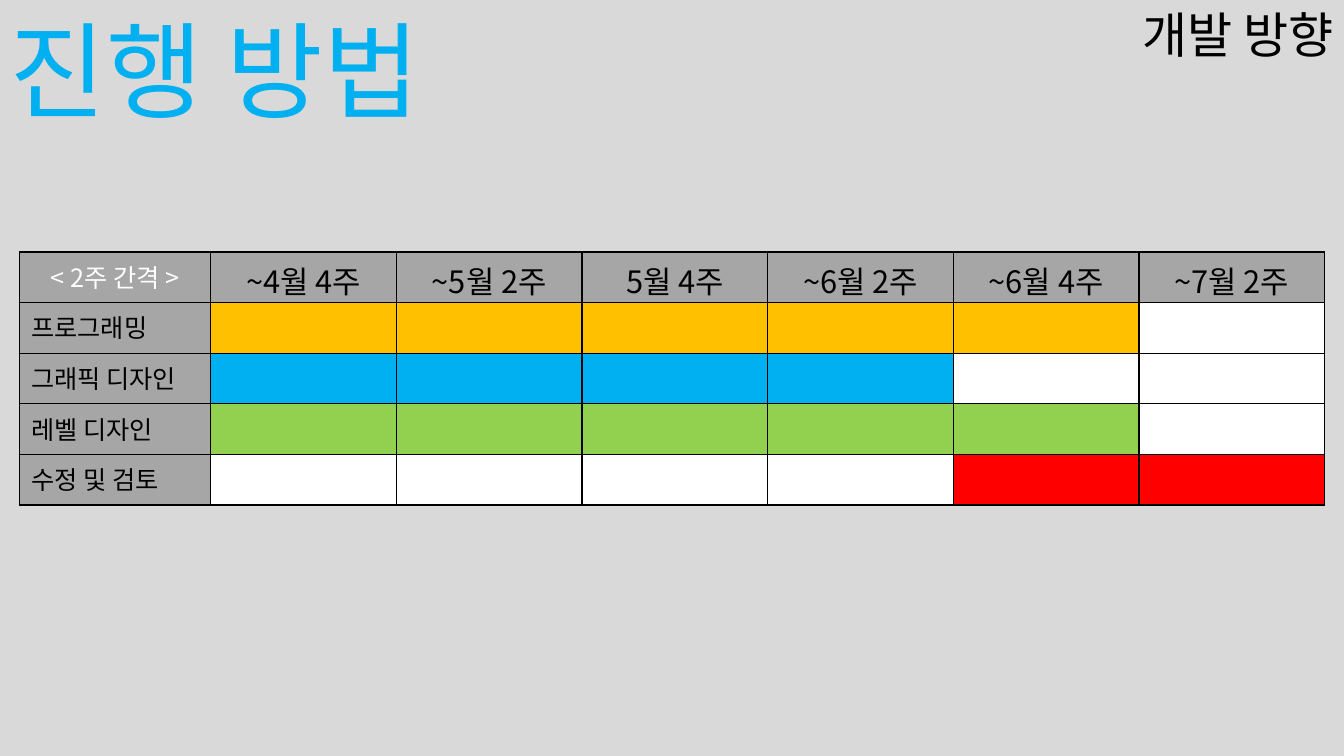
from lxml.etree import SubElement
from pptx import Presentation
from pptx.dml.color import RGBColor
from pptx.enum.shapes import MSO_SHAPE
from pptx.enum.text import MSO_ANCHOR, PP_ALIGN
from pptx.oxml import parse_xml
from pptx.oxml.ns import nsdecls, qn
from pptx.util import Inches, Pt

FONT = "Noto Sans CJK KR"
BLACK = RGBColor(0x00, 0x00, 0x00)
WHITE = RGBColor(0xFF, 0xFF, 0xFF)
PALE = RGBColor(0xD9, 0xD9, 0xD9)
GREY = RGBColor(0xA6, 0xA6, 0xA6)
AMBER = RGBColor(0xFF, 0xC0, 0x00)
BLUE = RGBColor(0x00, 0xB0, 0xF0)
GREEN = RGBColor(0x92, 0xD0, 0x50)
RED = RGBColor(0xFF, 0x00, 0x00)

TITLE = "진행 방법"
SECTION = "개발 방향"
CORNER = "< 2주 간격 >"
PERIODS = ["~4월 4주", "~5월 2주", "5월 4주", "~6월 2주", "~6월 4주", "~7월 2주"]
TASKS = [
    ("프로그래밍", AMBER, 1, 5),
    ("그래픽 디자인", BLUE, 1, 4),
    ("레벨 디자인", GREEN, 1, 5),
    ("수정 및 검토", RED, 5, 6),
]

PAGE_WIDTH, PAGE_HEIGHT = 13.33, 7.5
TABLE_LEFT, TABLE_TOP, TABLE_WIDTH, TABLE_HEIGHT = 0.19, 2.5, 12.95, 2.51
LABEL_WIDTH = 1.9
CELL_MARGINS = {"margin_left": 0.12, "margin_right": 0.12, "margin_top": 0.06, "margin_bottom": 0.06}


def write(frame, text, size, color, align=PP_ALIGN.LEFT):
    para = frame.paragraphs[0]
    para.alignment = align
    span = para.add_run()
    span.text = text
    for name, value in {"name": FONT, "size": Pt(size)}.items():
        setattr(span.font, name, value)
    span.font.color.rgb = color
    latin = span.font._element.find(qn("a:latin"))
    latin.addnext(parse_xml(f'<a:ea {nsdecls("a")} typeface="{FONT}"/>'))
    return span


def add_heading(page, bounds, text, size, color, align):
    box = page.shapes.add_textbox(*map(Inches, bounds))
    box.text_frame.word_wrap = True
    return write(box.text_frame, text, size, color, align)


def format_cell(cell, color):
    for name, value in CELL_MARGINS.items():
        setattr(cell, name, Inches(value))
    cell.vertical_anchor = MSO_ANCHOR.TOP
    props = cell._tc.get_or_add_tcPr()
    for side in ("lnL", "lnR", "lnT", "lnB"):
        border = SubElement(props, qn(f"a:{side}"), w=str(Pt(1)))
        SubElement(SubElement(border, qn("a:solidFill")), qn("a:srgbClr"), val=str(BLACK))
    cell.fill.solid()
    cell.fill.fore_color.rgb = color


def add_schedule(page):
    bounds = (TABLE_LEFT, TABLE_TOP, TABLE_WIDTH, TABLE_HEIGHT)
    table = page.shapes.add_table(len(TASKS) + 1, len(PERIODS) + 1, *map(Inches, bounds)).table
    period_width = (TABLE_WIDTH - LABEL_WIDTH) / len(PERIODS)
    for index, column in enumerate(table.columns):
        column.width = Inches(period_width if index else LABEL_WIDTH)
    for row in table.rows:
        row.height = Inches(TABLE_HEIGHT / len(table.rows))

    for column, text in enumerate([CORNER] + PERIODS):
        cell = table.cell(0, column)
        format_cell(cell, GREY)
        cell.margin_bottom = 0
        size, color = (22, BLACK) if column else (18, WHITE)
        write(cell.text_frame, text, size, color, PP_ALIGN.CENTER)

    for row, (task, color, first, last) in enumerate(TASKS, 1):
        label = table.cell(row, 0)
        format_cell(label, GREY)
        write(label.text_frame, task, 18, BLACK)
        for column in range(1, len(PERIODS) + 1):
            format_cell(table.cell(row, column), color if first <= column <= last else WHITE)


def main():
    deck = Presentation()
    deck.slide_width, deck.slide_height = Inches(PAGE_WIDTH), Inches(PAGE_HEIGHT)
    page = deck.slides.add_slide(deck.slide_layouts[6])

    backdrop = page.shapes.add_shape(MSO_SHAPE.RECTANGLE, 0, 0, deck.slide_width, deck.slide_height)
    backdrop.shadow.inherit = False
    backdrop.fill.solid()
    backdrop.fill.fore_color.rgb = PALE
    backdrop.line.color.rgb = PALE
    backdrop.line.width = Pt(1)

    title = add_heading(page, (0, 0.01, 6.3, 1.36), TITLE, 75, BLUE, PP_ALIGN.LEFT)
    title.font._element.insert(0, parse_xml(
        f'<a:ln {nsdecls("a")} w="{Pt(0.75)}"><a:solidFill>'
        f'<a:srgbClr val="{BLACK}"/></a:solidFill></a:ln>'))
    add_heading(page, (8.37, 0, 4.96, 0.69), SECTION, 35, BLACK, PP_ALIGN.RIGHT)
    add_schedule(page)
    deck.save("out.pptx")


if __name__ == "__main__":
    main()
